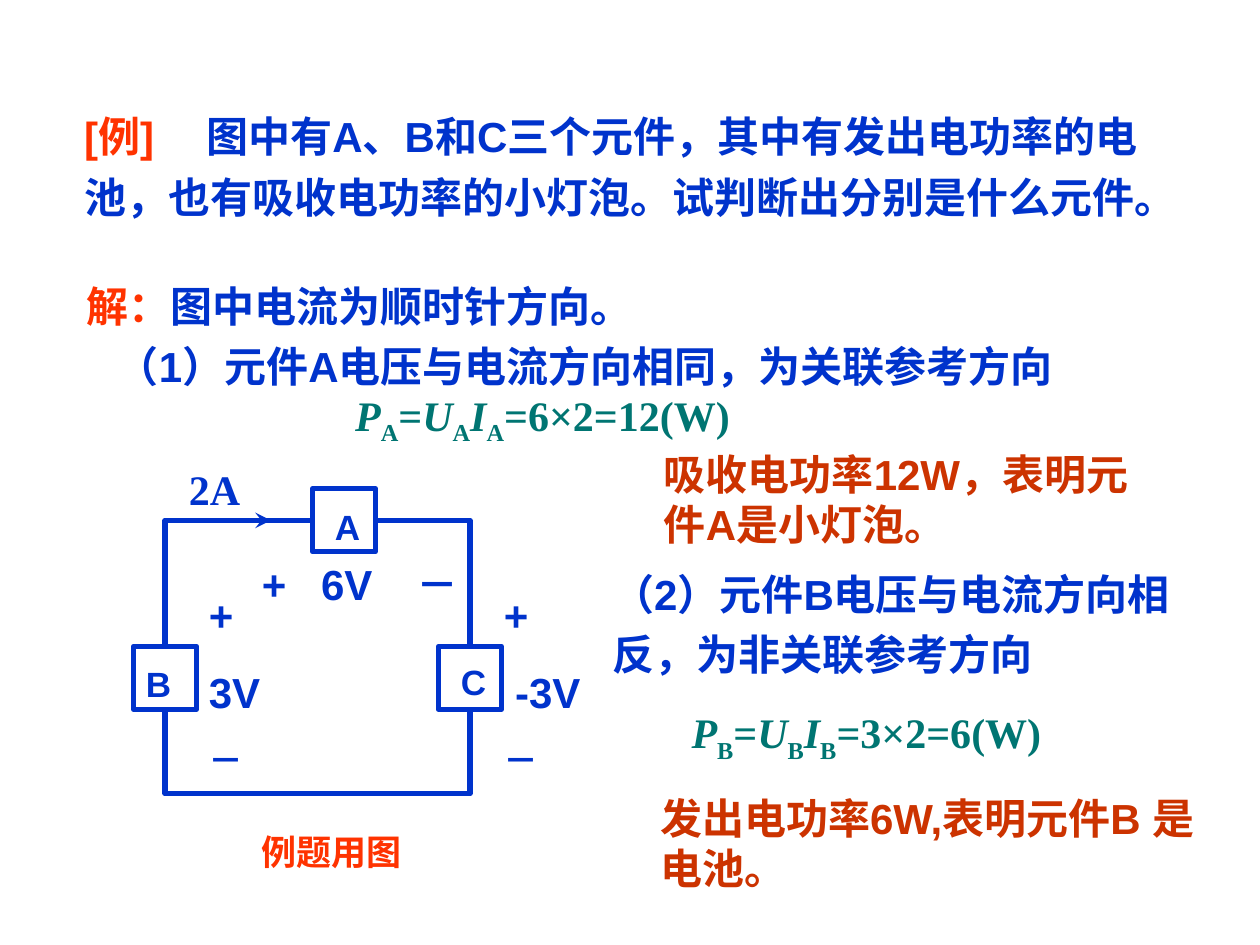
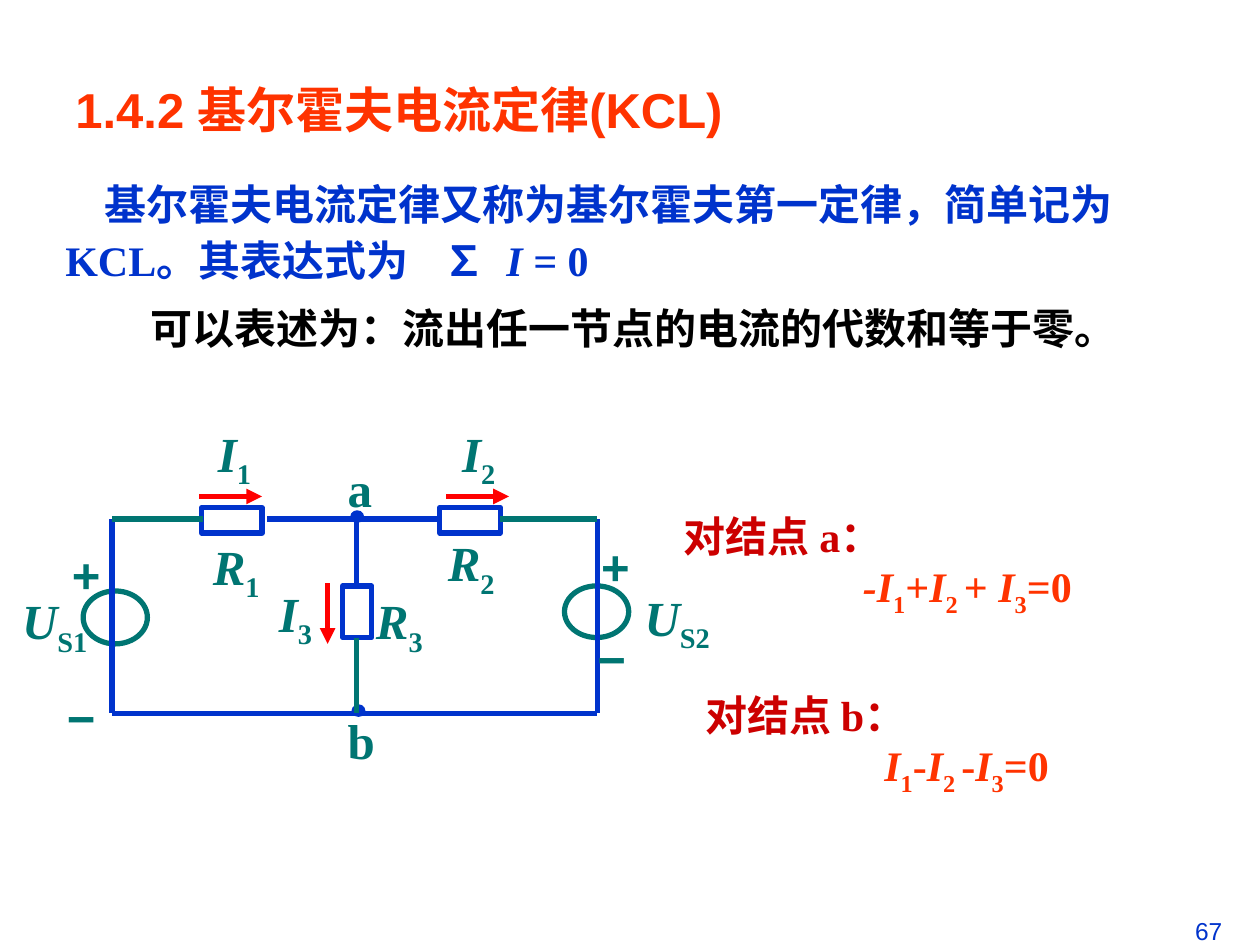
from lxml.etree import SubElement
from pptx import Presentation
from pptx.dml.color import RGBColor
from pptx.enum.shapes import MSO_CONNECTOR, MSO_SHAPE
from pptx.enum.text import PP_ALIGN
from pptx.oxml.ns import qn
from pptx.util import Inches, Pt

COLORS = {
    "blue": "0033CC",
    "teal": "007572",
    "orange": "FF3300",
    "rust": "CC3300",
    "crimson": "CC0000",
    "red": "FF0000",
    "black": "000000",
    "white": "FFFFFF",
}
SANS, SERIF, CHINESE = "Arial", "Times New Roman", "Noto Sans CJK SC"


def span(text, color="blue", size=24, font=SANS, bold=True, italic=False, sub=False):
    return dict(text=text, color=color, size=size, font=font,
                bold=bold, italic=italic, sub=sub)


def formula(pattern, color="teal", size=24):
    """Pieces are parted by "|"; "X_n" is an italic X with an upright subscript n."""
    spans = []
    for piece in pattern.split("|"):
        base, mark, index = piece.partition("_")
        spans.append(span(base, color, size, SERIF, italic=bool(mark)))
        if mark:
            spans.append(span(index, color, size, SERIF, sub=True))
    return spans


def para(*spans, before=0, spacing=None, indent=0, tabs=(), align=PP_ALIGN.LEFT):
    return dict(spans=spans, before=before, spacing=spacing,
                indent=indent, tabs=tabs, align=align)


class Painter:
    def __init__(self, deck):
        self.deck = deck
        self.page = None

    def color(self, name):
        return RGBColor.from_string(COLORS[name])

    def new_page(self):
        self.page = self.deck.slides.add_slide(self.deck.slide_layouts[6])

    def text(self, left, top, width, height, *paras, inset=True):
        box = self.page.shapes.add_textbox(
            Inches(left), Inches(top), Inches(width), Inches(height))
        frame = box.text_frame
        frame.word_wrap = True
        if not inset:
            frame.margin_left = frame.margin_right = 0
            frame.margin_top = frame.margin_bottom = 0
        for number, style in enumerate(paras):
            paragraph = frame.add_paragraph() if number else frame.paragraphs[0]
            self.fill_paragraph(paragraph, style)

    def fill_paragraph(self, paragraph, style):
        paragraph.alignment = style["align"]
        if style["before"]:
            paragraph.space_before = Pt(style["before"])
        if style["spacing"]:
            paragraph.line_spacing = style["spacing"]
        properties = paragraph._p.get_or_add_pPr()
        if style["indent"]:
            properties.set("indent", str(Inches(style["indent"])))
        if style["tabs"]:
            stops = SubElement(properties, qn("a:tabLst"))
            for stop in style["tabs"]:
                SubElement(stops, qn("a:tab"), pos=str(Inches(stop)), algn="l")
        for part in style["spans"]:
            run = paragraph.add_run()
            run.text = part["text"]
            font = run.font
            font.name, font.size = part["font"], Pt(part["size"])
            font.bold, font.italic = part["bold"], part["italic"]
            font.color.rgb = self.color(part["color"])
            run_properties = run._r.get_or_add_rPr()
            SubElement(run_properties, qn("a:ea"), typeface=CHINESE)
            if part["sub"]:
                run_properties.set("baseline", "-25000")

    def symbol(self, left, top, width, spans):
        """Centred circuit label without insets."""
        self.text(left, top, width, 0.53, para(*spans, align=PP_ALIGN.CENTER), inset=False)

    def shape(self, kind, left, top, width, height, line="blue", fill=None):
        shape = self.page.shapes.add_shape(
            kind, Inches(left), Inches(top), Inches(width), Inches(height))
        shape.shadow.inherit = False
        if fill:
            shape.fill.solid()
            shape.fill.fore_color.rgb = self.color(fill)
        else:
            shape.fill.background()
        if line:
            shape.line.color.rgb = self.color(line)
            shape.line.width = Pt(3)
        else:
            shape.line.fill.background()

    def line(self, x1, y1, x2, y2, color="blue", arrow=None):
        connector = self.page.shapes.add_connector(
            MSO_CONNECTOR.STRAIGHT, Inches(x1), Inches(y1), Inches(x2), Inches(y2))
        connector.line.color.rgb = self.color(color)
        connector.line.width = Pt(3)
        if arrow:
            SubElement(connector.line._get_or_add_ln(), qn("a:tailEnd"), type=arrow)
        SubElement(connector._element.spPr, qn("a:effectLst"))


def build_power_example(painter):
    painter.new_page()

    # Question and answer
    painter.text(0.57, 0.75, 8.83, 1.54, para(
        span("[例]\t", "orange"),
        span("图中有A、B和C三个元件，其中有发出电功率的电池，"
             "也有吸收电功率的小灯泡。试判断出分别是什么元件。"),
        spacing=1.2, tabs=[0.97]))
    painter.text(0.59, 2.1, 4.75, 0.58, para(
        span("解：", "orange"), span("图中电流为顺时针方向。"), spacing=1.2))
    steps = [
        (0.83, 2.57, 8.58, "（1）元件A电压与电流方向相同，为关联参考方向"),
        (4.76, 4.38, 4.75, "（2）元件B电压与电流方向相反，为非关联参考方向"),
    ]
    for left, top, width, words in steps:
        painter.text(left, top, width, 0.58, para(span(words), spacing=1.2))
    painter.text(2.72, 3.04, 3.75, 0.56, para(*formula("P_A|=|U_A|I_A|=6×2=12(W)")))
    painter.text(5.39, 5.56, 3.83, 0.56, para(*formula("P_B|=|U_B|I_B|=3×2=6(W)")))
    results = [
        (5.17, 3.51, 4.08, "吸收电功率12W，表明元件A是小灯泡。"),
        (5.14, 6.24, 4.58, "发出电功率6W,表明元件B 是电池。"),
    ]
    for left, top, width, words in results:
        painter.text(left, top, width, 0.9, para(span(words, "rust")))

    # Circuit loop with three elements
    painter.shape(MSO_SHAPE.RECTANGLE, 1.31, 4.13, 2.42, 2.17)
    elements = [
        ("A", 2.48, 3.88, 2.56, 3.96),
        ("B", 1.06, 5.13, 1.06, 5.21),
        ("C", 3.48, 5.13, 3.56, 5.19),
    ]
    for name, left, top, label_left, label_top in elements:
        painter.shape(MSO_SHAPE.RECTANGLE, left, top, 0.5, 0.5, fill="white")
        painter.text(label_left, label_top, 0.58, 0.44, para(span(name, size=20)))
    painter.line(1.65, 4.13, 2.15, 4.13, arrow="stealth")
    painter.text(1.4, 3.63, 1, 0.5, para(span("2A", font=SERIF)))

    # Voltages
    painter.text(1.98, 4.38, 1.83, 0.5, para(span("+\t6V\t－"), tabs=[0.47, 1.23]))
    for left, voltage, indent in [(1.56, "3V", 0), (3.9, "-3V", 0.09)]:
        painter.text(left, 4.63, 1, 1.62,
                     para(span("+")),
                     para(span(voltage), before=15, indent=indent),
                     para(span("－", size=20), before=12.5))
    painter.text(1.98, 6.54, 1.33, 0.44, para(span("例题用图", "orange", 20)))


def build_current_law(painter):
    painter.new_page()

    # Title, law and page number
    painter.text(0.5, 0.58, 6.55, 0.67,
                 para(span("1.4.2 基尔霍夫电流定律(KCL)", "orange", 28)))
    painter.text(
        0.42, 1.33, 8.76, 1.53,
        para(span("基尔霍夫电流定律又称为基尔霍夫第一定律，简单记为", font=CHINESE),
             span("KCL。其表达式为\t", font=SERIF),
             span("∑\t"),
             span("I = ", font=SERIF, italic=True),
             span("0", font=SERIF),
             spacing=1.1, indent=0.31, tabs=[3.77, 4.27]),
        para(span("可以表述为：流出任一节点的电流的代数和等于零。", "black"),
             before=7.5, spacing=1.1, indent=0.68))
    painter.text(7.3, 7.22, 2.5, 0.52,
                 para(span("67", size=14, bold=False), align=PP_ALIGN.RIGHT))

    # Node equations
    nodes = [
        (5.33, 4, "对结点 a：", "-I_1|+|I_2 |+ |I_3|=0"),
        (5.5, 5.42, "对结点 b：", "I_1|-|I_2 |-|I_3|=0"),
    ]
    for left, top, heading, equation in nodes:
        painter.text(left, top, 3.99, 0.96,
                     para(span(heading, "crimson", font=SERIF)),
                     para(*formula(equation, "orange"), indent=1.42))

    # Sources and wires
    left_x, middle_x, right_x, top_y, bottom_y = 0.89, 2.83, 4.74, 4.12, 5.66
    painter.shape(MSO_SHAPE.OVAL, 0.66, 4.69, 0.51, 0.42, "teal")
    painter.shape(MSO_SHAPE.OVAL, 4.48, 4.65, 0.51, 0.41, "teal")
    for x in (left_x, right_x):
        painter.line(x, top_y, x, bottom_y)
    painter.line(left_x, bottom_y, right_x, bottom_y)
    painter.line(2.12, top_y, 3.51, top_y)
    painter.line(middle_x, top_y, middle_x, 4.66)

    # Resistors, node dots and resistor leads
    for left, top, width, height in [(1.6, 4.03, 0.48, 0.2), (3.49, 4.03, 0.48, 0.2),
                                     (2.72, 4.65, 0.23, 0.41)]:
        painter.shape(MSO_SHAPE.RECTANGLE, left, top, width, height)
    for name, left, dot_top, label_top in [("a", 2.78, 4.05, 3.72), ("b", 2.79, 5.59, 5.72)]:
        painter.shape(MSO_SHAPE.OVAL, left, dot_top, 0.11, 0.1, None, "blue")
        painter.text(2.66, label_top, 0.41, 0.43,
                     para(span(name, "teal", 28, SERIF), spacing=0.7))
    painter.line(middle_x, 5.06, middle_x, bottom_y, "teal")
    painter.line(3.97, top_y, right_x, top_y, "teal")
    painter.line(left_x, top_y, 1.61, top_y, "teal")

    # Current arrows
    for x1, y1, x2, y2 in [(1.58, 3.94, 2.08, 3.94), (3.54, 3.94, 4.04, 3.94),
                           (2.6, 4.63, 2.6, 5.11)]:
        painter.line(x1, y1, x2, y2, "red", "triangle")

    # Quantities and polarity signs
    quantities = [
        ("I_1", 1.55, 3.36, 0.62), ("I_2", 3.52, 3.36, 0.56), ("I_3", 2.09, 4.63, 0.51),
        ("R_1", 1.46, 4.26, 0.83), ("R_2", 3.4, 4.23, 0.68), ("R_3", 2.92, 4.69, 0.5),
        ("U_S1", 0, 4.69, 0.87), ("U_S2", 5.01, 4.66, 0.73),
    ]
    for name, left, top, width in quantities:
        painter.symbol(left, top, width, formula(name, size=28))
    signs = [("+", 0.5, 4.32), ("−", 0.46, 5.46), ("+", 4.7, 4.26), ("−", 4.67, 4.99)]
    for sign, left, top in signs:
        painter.symbol(left, top, 0.37, [span(sign, "teal", 28)])


def main():
    deck = Presentation()
    deck.slide_width, deck.slide_height = Inches(10), Inches(7.5)
    painter = Painter(deck)
    build_power_example(painter)
    build_current_law(painter)
    deck.save("out.pptx")


if __name__ == "__main__":
    main()
